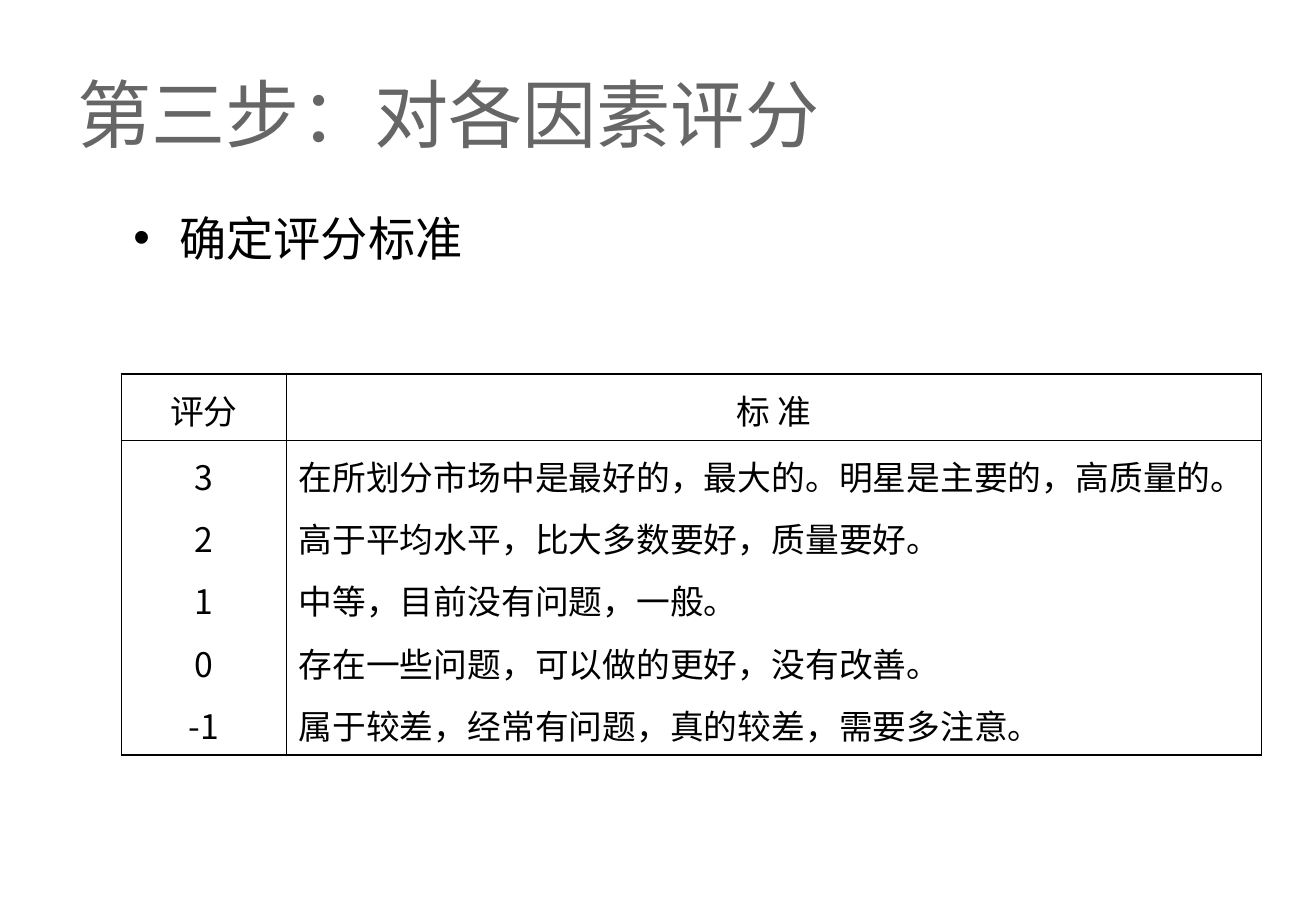
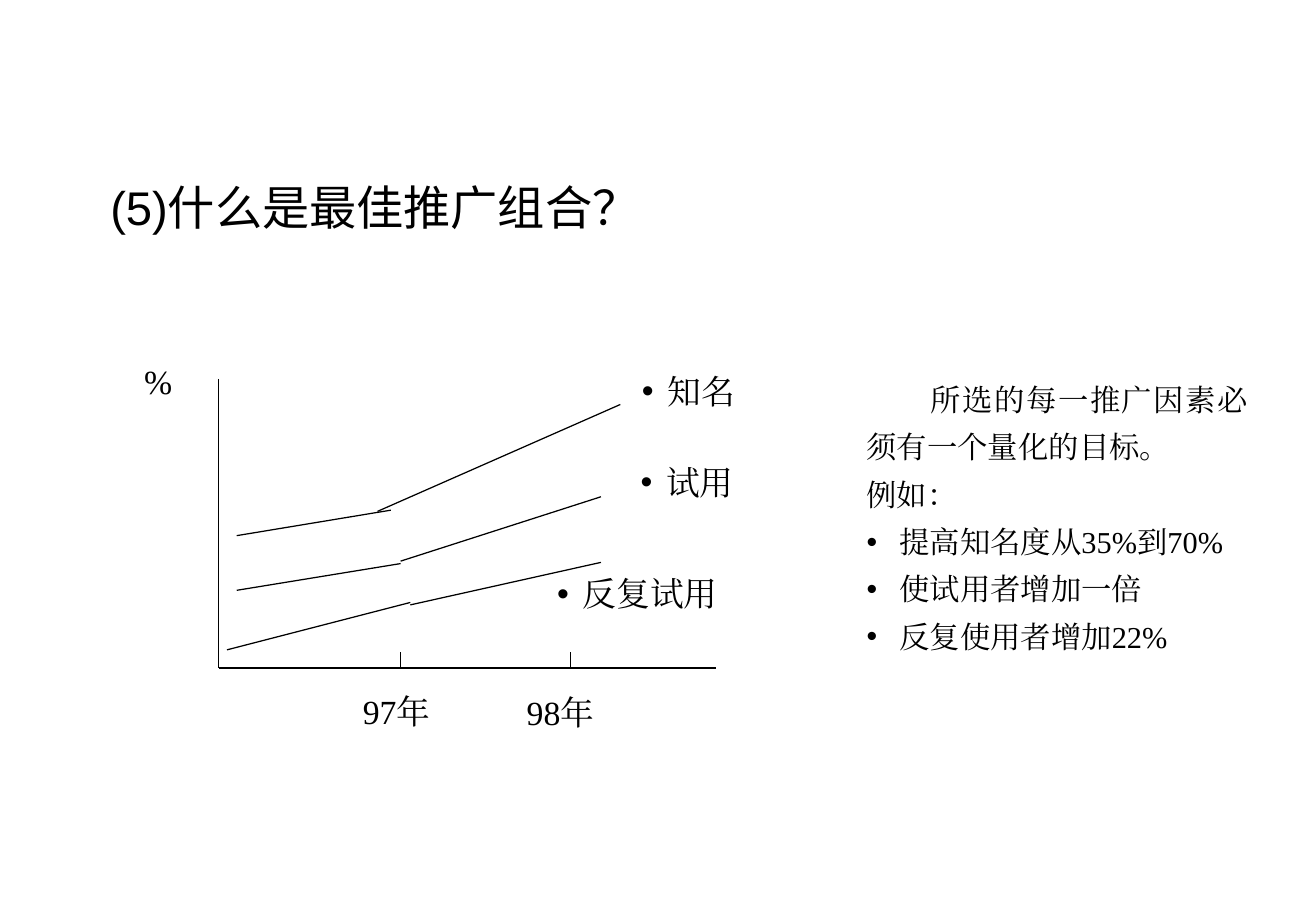
from lxml.etree import SubElement
from pptx import Presentation
from pptx.dml.color import RGBColor
from pptx.enum.lang import MSO_LANGUAGE_ID
from pptx.enum.shapes import MSO_CONNECTOR
from pptx.enum.text import MSO_ANCHOR, MSO_AUTO_SIZE, PP_ALIGN
from pptx.oxml.ns import qn
from pptx.util import Inches, Pt

BLACK = "000000"
GREY = "666666"
SANS = "Arial"
SERIF = "Times New Roman"
CHINESE = "Noto Sans CJK SC"


def color(value):
    return RGBColor.from_string(value)


class Slides:
    def __init__(self, width, height):
        self.deck = Presentation()
        self.deck.slide_width = Inches(width)
        self.deck.slide_height = Inches(height)
        self.page = None

    def new_page(self):
        self.page = self.deck.slides.add_slide(self.deck.slide_layouts[6])

    def style(self, para, size, family, fill=BLACK, align=PP_ALIGN.LEFT,
              spacing=None, bullet=False, hang=0, first=0):
        para.alignment = align
        if spacing:
            para.line_spacing = spacing
        properties = para._p.get_or_add_pPr()
        if hang or first:
            properties.set("marL", str(Inches(hang)))
            properties.set("indent", str(Inches(first - hang)))
        if bullet:
            tint = SubElement(properties, qn("a:buClr"))
            SubElement(tint, qn("a:srgbClr"), val=BLACK)
            SubElement(properties, qn("a:buFont"), typeface=SANS)
            SubElement(properties, qn("a:buChar"), char="•")
        font = para.font
        font.size = Pt(size)
        font.name = family
        font.color.rgb = color(fill)
        font.language_id = MSO_LANGUAGE_ID.SIMPLIFIED_CHINESE
        SubElement(properties.find(qn("a:defRPr")), qn("a:ea"), typeface=family)

    def text(self, left, top, width, height, content, size, family,
             anchor=MSO_ANCHOR.TOP, wrap=True, **style):
        box = self.page.shapes.add_textbox(
            Inches(left), Inches(top), Inches(width), Inches(height))
        frame = box.text_frame
        frame.word_wrap = wrap
        frame.auto_size = MSO_AUTO_SIZE.NONE if wrap else MSO_AUTO_SIZE.SHAPE_TO_FIT_TEXT
        frame.vertical_anchor = anchor
        para = frame.paragraphs[0]
        para.text = content
        self.style(para, size, family, **style)
        return frame

    def label(self, left, top, width, content, bullet=False):
        self.text(left, top, width, 0.44, content, 20, SERIF, wrap=False,
                  bullet=bullet, hang=0.21 if bullet else 0)

    def line(self, x1, y1, x2, y2):
        connector = self.page.shapes.add_connector(
            MSO_CONNECTOR.STRAIGHT, Inches(x1), Inches(y1), Inches(x2), Inches(y2))
        connector.line.color.rgb = color(BLACK)
        connector.line.width = Pt(0.75)
        SubElement(connector._element.spPr, qn("a:effectLst"))

    def border(self, cell, side, width):
        edge = SubElement(cell._tc.get_or_add_tcPr(), qn(f"a:ln{side}"), w=str(Pt(width)))
        fill = SubElement(edge, qn("a:solidFill"))
        SubElement(fill, qn("a:srgbClr"), val=BLACK)

    def table(self, left, top, widths, heights, rows):
        table = self.page.shapes.add_table(
            len(rows), len(widths), Inches(left), Inches(top),
            Inches(sum(widths)), Inches(sum(heights))).table
        table.first_row = table.horz_banding = False
        for column, width in zip(table.columns, widths):
            column.width = Inches(width)
        for r, (height, row) in enumerate(zip(heights, rows)):
            table.rows[r].height = Inches(height)
            for c, lines in enumerate(row):
                cell = table.cell(r, c)
                outer = {"L": c == 0, "R": c == len(widths) - 1,
                         "T": r == 0, "B": r == len(rows) - 1}
                for side, is_outer in outer.items():
                    self.border(cell, side, 1.08 if is_outer else 0.45)
                cell.fill.background()
                centred = r == 0 or c == 0
                cell.text = "\n".join(lines)
                for index, para in enumerate(cell.text_frame.paragraphs):
                    if index:
                        para.space_before = Pt(5)
                    self.style(para, 20, CHINESE, spacing=1.1,
                               align=PP_ALIGN.CENTER if centred else PP_ALIGN.LEFT)


def scoring_page(slides):
    slides.new_page()
    slides.text(0.54, 0.3, 9.75, 1.25, "第三步：对各因素评分", 44, SANS,
                anchor=MSO_ANCHOR.MIDDLE, fill=GREY)
    slides.text(1, 1.67, 8.92, 0.75, "确定评分标准", 28, SANS, bullet=True, hang=0.38)
    criteria = [
        ("3", "在所划分市场中是最好的，最大的。明星是主要的，高质量的。"),
        ("2", "高于平均水平，比大多数要好，质量要好。"),
        ("1", "中等，目前没有问题，一般。"),
        ("0", "存在一些问题，可以做的更好，没有改善。"),
        ("-1", "属于较差，经常有问题，真的较差，需要多注意。"),
    ]
    slides.table(1, 3.08, [1.36, 8.03], [0.5, 2.51],
                 [(["评分"], ["标 准"]), tuple(zip(*criteria))])


def promotion_page(slides):
    slides.new_page()
    slides.text(0.81, 1.42, 9.21, 0.58, "(5)什么是最佳推广组合？", 28, SANS)

    origin, base = 1.8, 5.5
    slides.line(origin, 3.12, origin, base)
    slides.line(origin, base, 5.9, base)
    for tick in (3.3, 4.7):
        slides.line(tick, 5.37, tick, base)

    trends = [
        (1.87, 5.35, 3.38, 4.96), (3.38, 4.98, 4.95, 4.63),
        (1.95, 4.86, 3.3, 4.64), (3.3, 4.62, 4.95, 4.09),
        (1.95, 4.41, 3.22, 4.2), (3.11, 4.21, 5.11, 3.33),
    ]
    for trend in trends:
        slides.line(*trend)

    slides.label(2.89, 5.64, 0.82, "97年")
    slides.label(4.24, 5.65, 0.82, "98年")
    slides.label(1.09, 2.92, 0.43, "%")
    slides.label(5.19, 3, 0.97, "知名", bullet=True)
    slides.label(5.18, 3.75, 0.97, "试用", bullet=True)
    slides.label(4.49, 4.67, 1.52, "反复试用", bullet=True)

    body = {"size": 18, "family": SERIF, "align": PP_ALIGN.JUSTIFY, "spacing": 1.3}
    frame = slides.text(7.04, 3, 3.34, 2.47,
                        "所选的每一推广因素必须有一个量化的目标。", first=0.53, **body)
    goals = ["提高知名度从35%到70%", "使试用者增加一倍", "反复使用者增加22%"]
    for content in ["例如：", *goals]:
        para = frame.add_paragraph()
        para.text = content
        is_goal = content in goals
        slides.style(para, bullet=is_goal, hang=0.27 if is_goal else 0, **body)


def main():
    slides = Slides(10.84, 7.5)
    scoring_page(slides)
    promotion_page(slides)
    slides.deck.save("out.pptx")


if __name__ == "__main__":
    main()
